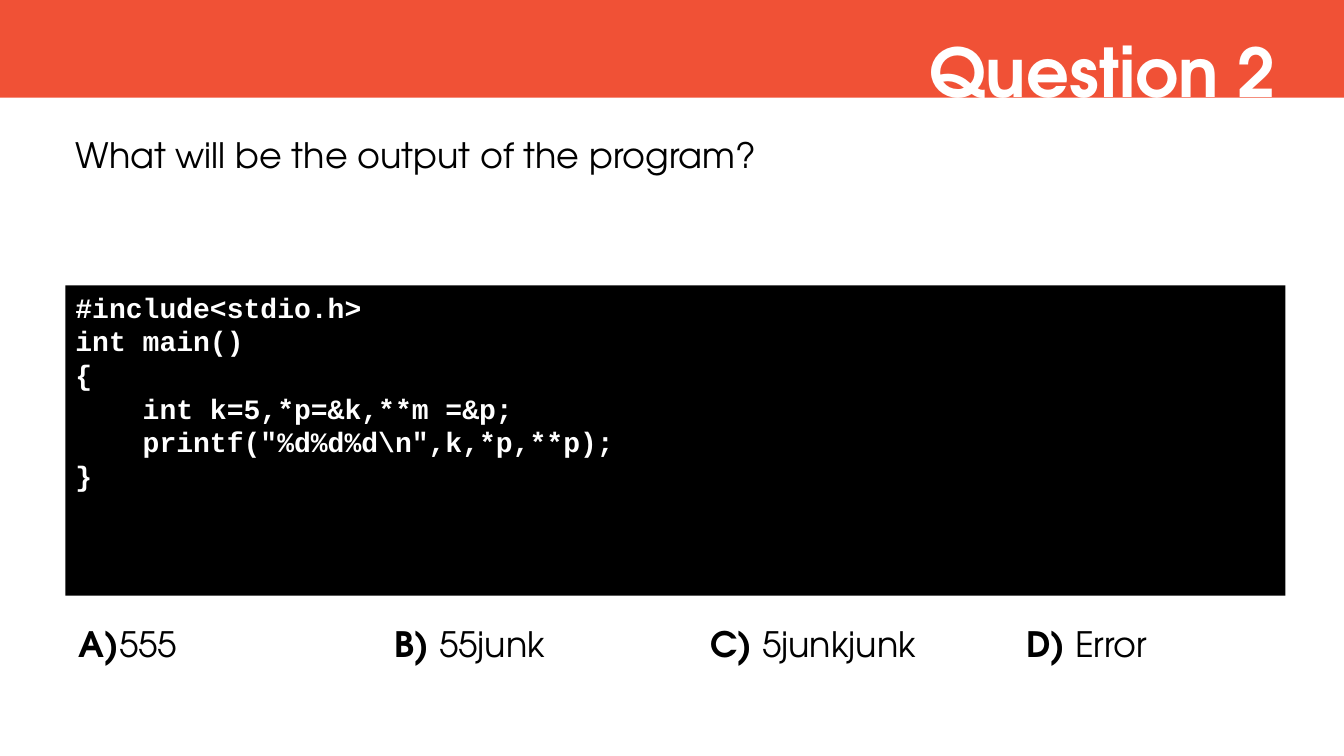
"""Builds a quiz slide with a C program and four possible answers."""
from lxml.etree import SubElement
from pptx import Presentation
from pptx.dml.color import RGBColor
from pptx.enum.shapes import MSO_SHAPE as Preset
from pptx.enum.text import MSO_ANCHOR as Anchor, MSO_AUTO_SIZE as AutoSize, PP_ALIGN as Align
from pptx.oxml.ns import qn
from pptx.util import Inches, Pt

ORANGE = RGBColor(0xF0, 0x51, 0x36)
WHITE = RGBColor(0xFF, 0xFF, 0xFF)
BLACK = RGBColor(0x00, 0x00, 0x00)

TITLE_FONT = {"name": "TeX Gyre Adventor", "size": Pt(48), "bold": True}
TEXT_FONT = {"name": "TeX Gyre Adventor", "size": Pt(25), "bold": False}
LABEL_FONT = TEXT_FONT | {"bold": True}
CODE_FONT = {"name": "Courier New", "size": Pt(20), "bold": True}

PROGRAM = r"""#include<stdio.h>
int main()
{
    int k=5,*p=&k,**m =&p;
    printf("%d%d%d\n",k,*p,**p);
}"""
ANSWERS = [("A)", "555"), ("B)", " 55junk"), ("C)", " 5junkjunk"), ("D)", " Error")]
FIRST_ANSWER_LEFT = 0.68
LAST_ANSWER_LEFT = 10.08


def apply_format(target, values):
    """Set each attribute of the target from a dict."""
    for attribute, value in values.items():
        setattr(target, attribute, value)


def add_words(paragraph, words, font, color):
    """Append a formatted run to a paragraph."""
    run = paragraph.add_run()
    run.text = words
    apply_format(run.font, font)
    run.font.color.rgb = color


def set_frame(frame, **changes):
    """Give a text frame its wrapping, anchor and insets."""
    values = {
        "word_wrap": True,
        "auto_size": AutoSize.SHAPE_TO_FIT_TEXT,
        "vertical_anchor": Anchor.TOP,
        "margin_left": Inches(0.1),
        "margin_right": Inches(0.1),
        "margin_top": Inches(0.05),
        "margin_bottom": Inches(0.05),
    }
    apply_format(frame, values | changes)


def add_block(slide, left, top, width, height, color):
    """Add a plain filled rectangle."""
    block = slide.shapes.add_shape(
        Preset.RECTANGLE, Inches(left), Inches(top), Inches(width), Inches(height)
    )
    block.shadow.inherit = False
    block.fill.solid()
    block.fill.fore_color.rgb = color
    block.line.fill.background()
    return block


def fill_placeholder(placeholder, box, words, font, color, align):
    """Move a placeholder and write one unbulleted line in it."""
    apply_format(placeholder, dict(zip(("left", "top", "width", "height"), map(Inches, box))))
    set_frame(placeholder.text_frame)
    paragraph = placeholder.text_frame.paragraphs[0]
    apply_format(paragraph, {"alignment": align, "space_before": Pt(0)})
    properties = paragraph._p.get_or_add_pPr()
    properties.set("marL", "0")
    properties.set("indent", "0")
    SubElement(properties, qn("a:buNone"))
    add_words(paragraph, words, font, color)


def add_code(slide):
    """Add the black panel with the program."""
    panel = add_block(slide, 0.65, 2.83, 12.1, 3.08, BLACK)
    frame = panel.text_frame
    set_frame(frame, auto_size=AutoSize.NONE, margin_bottom=Inches(1))
    for number, line in enumerate(PROGRAM.splitlines()):
        paragraph = frame.add_paragraph() if number else frame.paragraphs[0]
        paragraph.alignment = Align.LEFT
        add_words(paragraph, line, CODE_FONT, WHITE)


def add_answer(slide, left, label, answer):
    """Add one answer with its bold letter."""
    box = slide.shapes.add_textbox(Inches(left), Inches(5.92), Inches(2.55), Inches(0.68))
    set_frame(box.text_frame)
    paragraph = box.text_frame.paragraphs[0]
    paragraph.line_spacing = 1.5
    add_words(paragraph, label, LABEL_FONT, BLACK)
    add_words(paragraph, answer, TEXT_FONT, BLACK)


def main():
    """Build and save the slide."""
    deck = Presentation()
    apply_format(deck, {"slide_width": Inches(13.33), "slide_height": Inches(7.5)})
    slide = deck.slides.add_slide(deck.slide_layouts[1])
    title, question = slide.placeholders

    band = add_block(slide, 0, 0, 13.33, 0.97, ORANGE)
    title.element.addprevious(band.element)
    fill_placeholder(title, (4.25, 0.25, 8.5, 0.91), "Question 2", TITLE_FONT, WHITE, Align.RIGHT)
    fill_placeholder(
        question, (0.65, 1.27, 11.98, 0.52),
        "What will be the output of the program?", TEXT_FONT, BLACK, Align.LEFT,
    )
    add_code(slide)
    step = (LAST_ANSWER_LEFT - FIRST_ANSWER_LEFT) / (len(ANSWERS) - 1)
    for column, (label, answer) in enumerate(ANSWERS):
        add_answer(slide, FIRST_ANSWER_LEFT + column * step, label, answer)
    deck.save("out.pptx")


if __name__ == "__main__":
    main()
